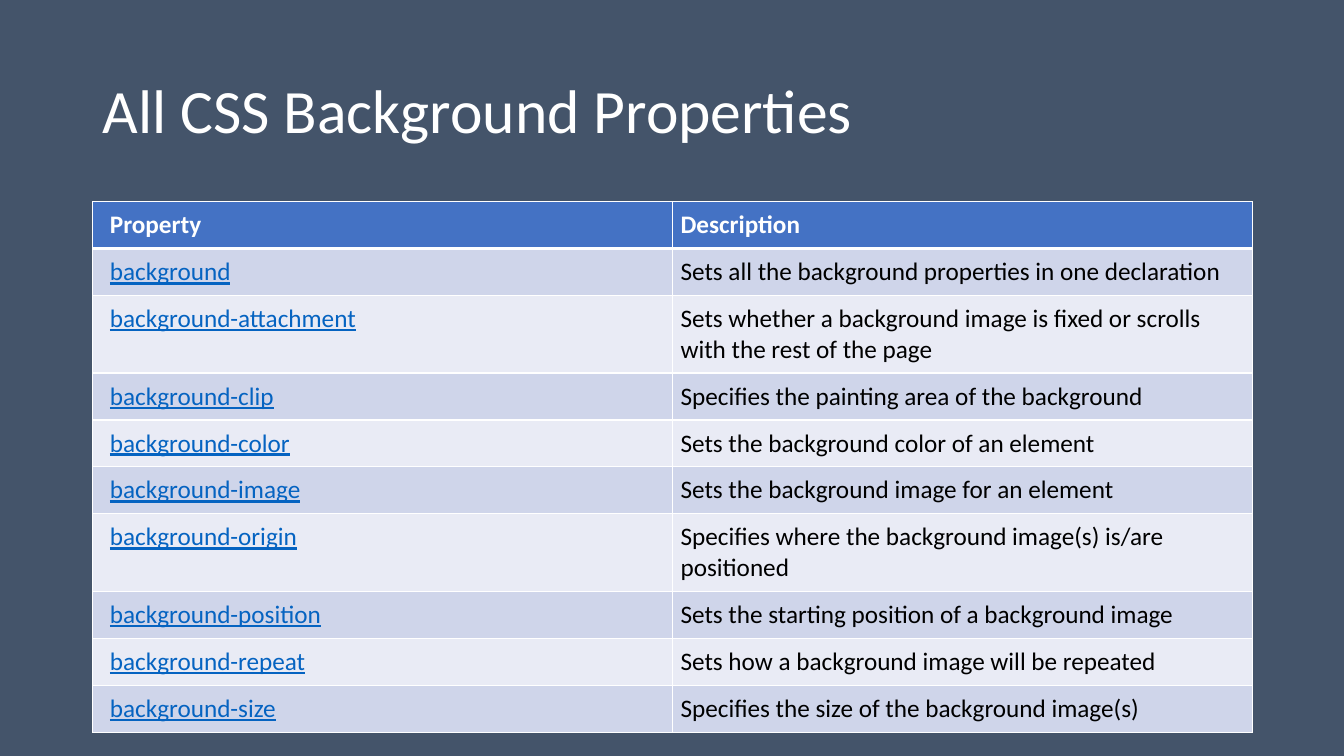
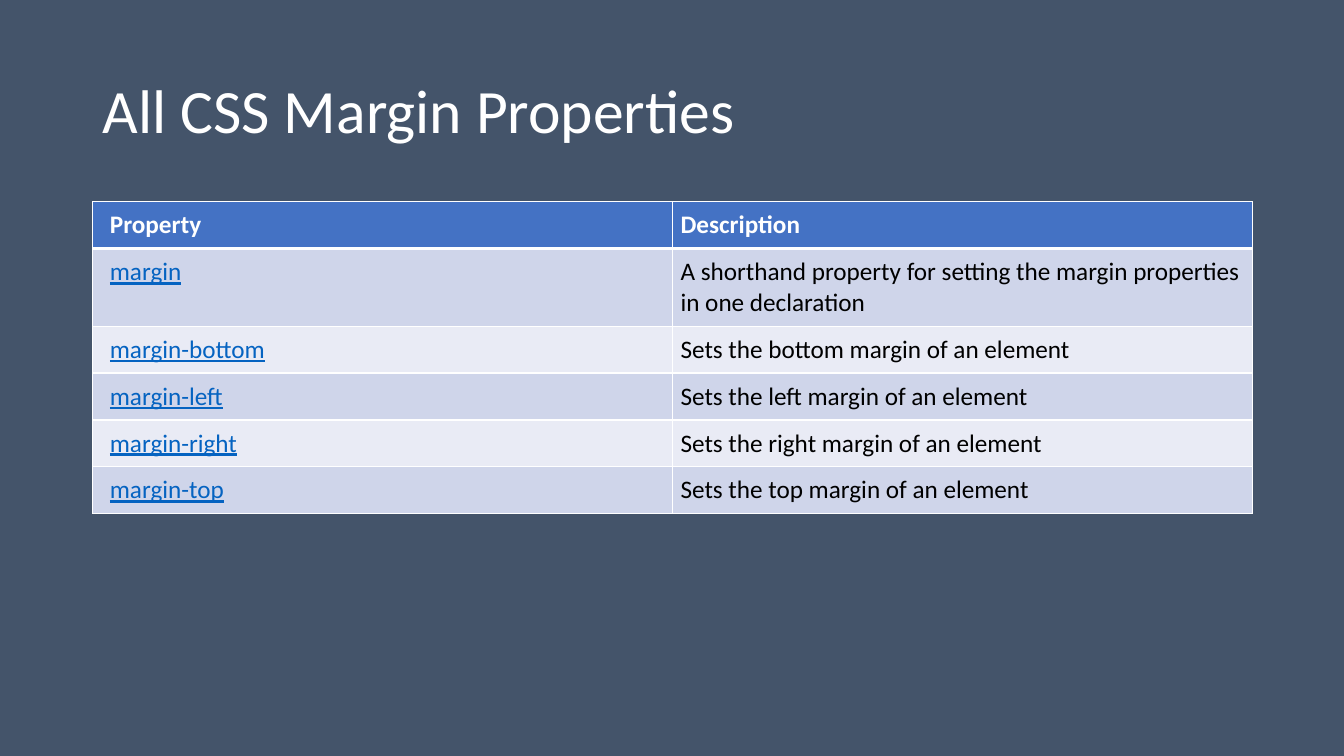
from pptx import Presentation
from pptx.dml.color import RGBColor
from pptx.enum import text
from pptx.oxml import parse_xml
from pptx.oxml.ns import nsdecls
from pptx.util import Inches, Pt

SLATE = RGBColor(0x44, 0x54, 0x6A)
WHITE = RGBColor(0xFF, 0xFF, 0xFF)
BLACK = RGBColor(0x00, 0x00, 0x00)
BLUE = RGBColor(0x44, 0x72, 0xC4)
LINK_BLUE = RGBColor(0x05, 0x63, 0xC1)
BANDS = [RGBColor(0xE9, 0xEB, 0xF5), RGBColor(0xCF, 0xD5, 0xEA)]
FONT = "Calibri"
LEFT, WIDTH = Inches(0.92), Inches(11.5)
TABLE_TOP, ROW_HEIGHT = Inches(2), Inches(0.41)
PADDING, INDENT = Inches(0.08), Inches(0.17)

HEADER = ("Property", "Description")
SLIDES = {
    "All CSS Background Properties": [
        ("background", "Sets all the background properties in one declaration"),
        ("background-attachment",
         "Sets whether a background image is fixed or scrolls with the rest of the page"),
        ("background-clip", "Specifies the painting area of the background"),
        ("background-color", "Sets the background color of an element"),
        ("background-image", "Sets the background image for an element"),
        ("background-origin", "Specifies where the background image(s) is/are positioned"),
        ("background-position", "Sets the starting position of a background image"),
        ("background-repeat", "Sets how a background image will be repeated"),
        ("background-size", "Specifies the size of the background image(s)"),
    ],
    "All CSS Margin Properties": [
        ("margin", "A shorthand property for setting the margin properties in one declaration"),
        ("margin-bottom", "Sets the bottom margin of an element"),
        ("margin-left", "Sets the left margin of an element"),
        ("margin-right", "Sets the right margin of an element"),
        ("margin-top", "Sets the top margin of an element"),
    ],
}


def set_borders(cell, **widths):
    """Draw white borders; widths in points are keyed by side: L, R, T, B."""
    for side, width in widths.items():
        cell._tc.get_or_add_tcPr().append(parse_xml(
            f'<a:ln{side} {nsdecls("a")} w="{Pt(width)}"><a:solidFill>'
            f'<a:srgbClr val="{WHITE}"/></a:solidFill></a:ln{side}>'))


def format_font(font, **values):
    color = values.pop("color")
    for name, value in values.items():
        setattr(font, name, value)
    font.color.rgb = color


prs = Presentation()
prs.slide_width, prs.slide_height = Inches(13.33), Inches(7.5)
bg = prs.slide_master.background.fill
bg.solid()
bg.fore_color.rgb = SLATE

for title, properties in SLIDES.items():
    s = prs.slides.add_slide(prs.slide_layouts[5])
    sp = s.shapes.title
    sp.left, sp.top, sp.width, sp.height = LEFT, Inches(0.4), WIDTH, Inches(1.45)
    tf = sp.text_frame
    tf.text = title
    tf.vertical_anchor = text.MSO_ANCHOR.MIDDLE
    p = tf.paragraphs[0]
    p.alignment, p.line_spacing = text.PP_ALIGN.LEFT, 0.9
    format_font(p.runs[0].font, name=FONT, size=Pt(44), color=WHITE)

    rows = [HEADER, *properties]
    table = s.shapes.add_table(len(rows), len(HEADER), LEFT, TABLE_TOP,
                               WIDTH, ROW_HEIGHT * len(rows)).table
    for i, row in enumerate(rows):
        table.rows[i].height = ROW_HEIGHT
        for j, label in enumerate(row):
            is_header, is_link = i == 0, i > 0 and j == 0
            cell = table.cell(i, j)
            cell.margin_left = INDENT if j == 0 else PADDING
            cell.margin_right = cell.margin_top = cell.margin_bottom = PADDING
            set_borders(cell, L=1, R=1, T=3 if i == 1 else 1, B=3 if is_header else 1)
            cell.fill.solid()
            cell.fill.fore_color.rgb = BLUE if is_header else BANDS[i % 2]
            cell.text = label
            color = WHITE if is_header else LINK_BLUE if is_link else BLACK
            format_font(cell.text_frame.paragraphs[0].runs[0].font, name=FONT, size=Pt(18),
                        bold=is_header, underline=is_link, color=color)

prs.save("out.pptx")
